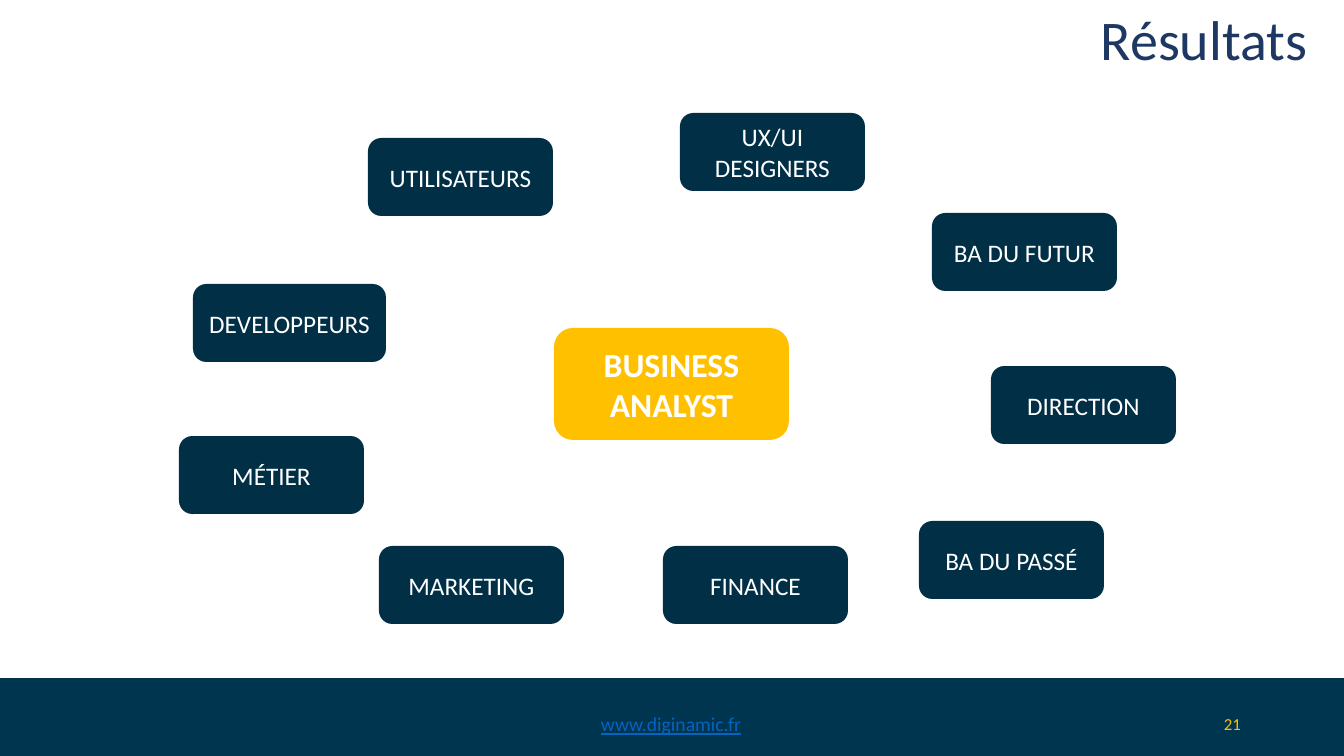
from dataclasses import dataclass

from pptx import Presentation
from pptx.dml.color import RGBColor
from pptx.enum.shapes import MSO_SHAPE
from pptx.enum.text import MSO_ANCHOR, PP_ALIGN
from pptx.util import Emu, Pt

ROUNDED, RECTANGLE = MSO_SHAPE.ROUNDED_RECTANGLE, MSO_SHAPE.RECTANGLE
TOP, MIDDLE = MSO_ANCHOR.TOP, MSO_ANCHOR.MIDDLE
LEFT, CENTER = PP_ALIGN.LEFT, PP_ALIGN.CENTER
TITLE_ONLY = 5
EMU_PER_PX = 914400 / 100.8


@dataclass(frozen=True)
class Theme:
    font: str = "Calibri"
    title: str = "1F3863"
    band: str = "003550"
    role: str = "002F46"
    accent: str = "FFC000"
    link: str = "0563C1"
    light: str = "FFFFFF"
    title_size: int = 40
    center_size: int = 24
    role_size: int = 18
    link_size: int = 14
    number_size: int = 12


THEME = Theme()
PAGE = (0, 0, 1344, 756)
ROLE_WIDTH, ROLE_HEIGHT = 185, 78
WIDE_ROLE_WIDTH = 193
ROLES = [
    ("UTILISATEURS", 368, 138, ROLE_WIDTH),
    ("UX/UI DESIGNERS", 680, 113, ROLE_WIDTH),
    ("BA DU FUTUR", 932, 213, ROLE_WIDTH),
    ("DIRECTION", 991, 366, ROLE_WIDTH),
    ("BA DU PASSÉ", 919, 521, ROLE_WIDTH),
    ("FINANCE", 663, 546, ROLE_WIDTH),
    ("MARKETING", 379, 546, ROLE_WIDTH),
    ("MÉTIER", 179, 436, ROLE_WIDTH),
    ("DEVELOPPEURS", 193, 284, WIDE_ROLE_WIDTH),
]


def px(length):
    return Emu(round(length * EMU_PER_PX))


def emu_box(box):
    return [px(length) for length in box]


def write(shape, lines, size, color, align=LEFT, anchor=TOP, inset=(0, 0),
          bold=False, underline=False, spacing=1.0):
    frame = shape.text_frame
    frame.word_wrap = True
    frame.vertical_anchor = anchor
    frame.margin_left = frame.margin_right = px(inset[0])
    frame.margin_top = frame.margin_bottom = px(inset[1])
    frame.text = "\n".join(lines)
    for para in frame.paragraphs:
        para.alignment = align
        para.line_spacing = spacing
        para.font.name = THEME.font
        para.font.size = Pt(size)
        para.font.bold = bold
        para.font.underline = underline
        para.font.color.rgb = RGBColor.from_string(color)


def add_block(slide, kind, box, fill):
    block = slide.shapes.add_shape(kind, *emu_box(box))
    block.shadow.inherit = False
    block.fill.solid()
    block.fill.fore_color.rgb = RGBColor.from_string(fill)
    block.line.fill.background()
    return block


def add_card(slide, box, lines, fill, size, bold=False):
    card = add_block(slide, ROUNDED, box, fill)
    card.adjustments[0] = 0.17
    write(card, lines, size, THEME.light, CENTER, MIDDLE, (10, 5), bold)


def place_title(slide, box, text):
    title = slide.shapes.title
    title.left, title.top, title.width, title.height = emu_box(box)
    write(title, [text], THEME.title_size, THEME.title)


def add_footer(slide, box, address, number):
    left, top, width, height = box
    add_block(slide, RECTANGLE, box, THEME.band)
    link_width = 143
    link_box = (left + (width - link_width) // 2 + 1, top + 34, link_width, 22)
    link = slide.shapes.add_textbox(*emu_box(link_box))
    write(link, [address], THEME.link_size, THEME.link, underline=True, spacing=1.02)
    number_box = (left + width - 120, top + 35, 22, 20)
    page_number = slide.shapes.add_textbox(*emu_box(number_box))
    write(page_number, [number], THEME.number_size, THEME.accent, spacing=1.03)


def add_role_map(slide, box):
    """Place the analyst card in the middle of the box, with the roles around it."""
    left, top, width, height = box
    center_width, center_height = 235, 112
    center_box = (left + (width - center_width) // 2, top + 328,
                  center_width, center_height)
    add_card(slide, center_box, ["BUSINESS", "ANALYST"], THEME.accent,
             THEME.center_size, bold=True)
    for role, x, y, role_width in ROLES:
        role_box = (left + x, top + y, role_width, ROLE_HEIGHT)
        add_card(slide, role_box, [role], THEME.role, THEME.role_size)


def main():
    deck = Presentation()
    deck.slide_width, deck.slide_height = px(PAGE[2]), px(PAGE[3])
    slide = deck.slides.add_slide(deck.slide_layouts[TITLE_ONLY])
    add_footer(slide, (0, 678, 1344, 78), "www.diginamic.fr", "21")
    place_title(slide, (1101, 5, 210, 70), "Résultats")
    add_role_map(slide, PAGE)
    deck.save("out.pptx")


if __name__ == "__main__":
    main()
